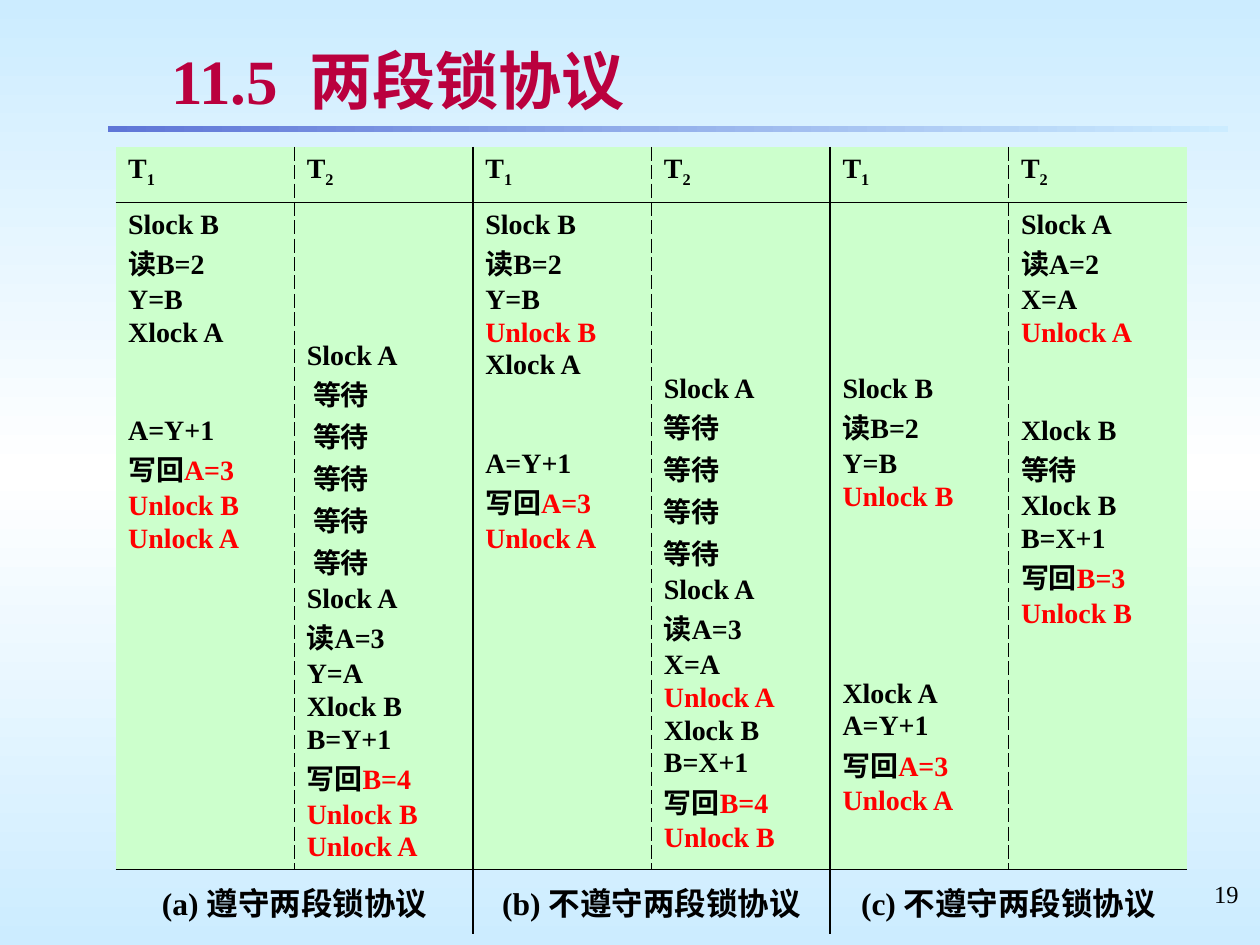
from lxml.etree import SubElement as add_element
from pptx import Presentation
from pptx.dml.color import RGBColor
from pptx.enum.shapes import MSO_SHAPE as Preset
from pptx.enum.text import MSO_ANCHOR as Anchor, PP_ALIGN as Align
from pptx.oxml.ns import qn
from pptx.util import Cm, Pt

COLORS = {
    "sky": "CCECFF", "white": "FFFFFF", "bar": "5F76D7", "title": "BA003E",
    "shadow": "C0C0C0", "text": "000000", "unlock": "FF0000", "cell": "CCFFCC",
}
FONT = "Times New Roman"
PLAIN_STYLE = "{2D5ABB26-0587-4C30-8999-92F81FD0307C}"
LINE_HEIGHT = 18.75
COLUMN_WIDTH = 3.6
ROW_HEIGHTS = [1.13, 13.43, 1.31]

# Numbers stand for waiting time, counted in lines.
SCHEDULES = [
    ["Slock B", "读B=2", "Y=B", "Xlock A", 2, "A=Y+1", "写回A=3", "Unlock B", "Unlock A"],
    [4, "Slock A", *[" 等待"] * 5, "Slock A", "读A=3", "Y=A", "Xlock B", "B=Y+1",
     "写回B=4", "Unlock B", "Unlock A"],
    ["Slock B", "读B=2", "Y=B", "Unlock B", "Xlock A", 2, "A=Y+1", "写回A=3", "Unlock A"],
    [5, "Slock A", *["等待"] * 4, "Slock A", "读A=3", "X=A", "Unlock A", "Xlock B",
     "B=X+1", "写回B=4", "Unlock B"],
    [5, "Slock B", "读B=2", "Y=B", "Unlock B", 5, "Xlock A", "A=Y+1", "写回A=3", "Unlock A"],
    ["Slock A", "读A=2", "X=A", "Unlock A", 2, "Xlock B", "等待", "Xlock B", "B=X+1",
     "写回B=3", "Unlock B"],
]
CAPTIONS = [" (a) 遵守两段锁协议 ", "(b) 不遵守两段锁协议", "(c) 不遵守两段锁协议"]


class SlideBuilder:
    def __init__(self, presentation):
        self.slide = presentation.slides.add_slide(presentation.slide_layouts[6])

    def format_run(self, run, size, color="text", bold=True):
        run.font.name = FONT
        run.font.size = Pt(size)
        run.font.bold = bold
        run.font.color.rgb = RGBColor.from_string(COLORS[color])

    def gradient(self, fill, element, stops, angle):
        fill.gradient()
        fill.gradient_angle = angle
        stop_list = element.find(".//" + qn("a:gsLst"))
        for old_stop in list(stop_list):
            stop_list.remove(old_stop)
        for index, color in enumerate(stops):
            position = 100000 * index // (len(stops) - 1)
            stop = add_element(stop_list, qn("a:gs"), pos=str(position))
            add_element(stop, qn("a:srgbClr"), val=COLORS[color])

    def background(self, stops):
        self.gradient(self.slide.background.fill, self.slide._element, stops, 90)

    def bar(self, left, top, width, height, stops):
        shape = self.slide.shapes.add_shape(
            Preset.RECTANGLE, Cm(left), Cm(top), Cm(width), Cm(height))
        shape.shadow.inherit = False
        shape.line.fill.background()
        self.gradient(shape.fill, shape._element.spPr, stops, 0)

    def text(self, text, left, top, width, height, size, color="text", bold=True,
             align=Align.LEFT, anchor=Anchor.TOP):
        shape = self.slide.shapes.add_textbox(Cm(left), Cm(top), Cm(width), Cm(height))
        frame = shape.text_frame
        frame.word_wrap = True
        frame.vertical_anchor = anchor
        frame.text = text
        paragraph = frame.paragraphs[0]
        paragraph.alignment = align
        self.format_run(paragraph.runs[0], size, color, bold)
        return paragraph.runs[0]

    def title(self, text, left, top, width, height):
        run = self.text(text, left, top, width, height, 36, "title", anchor=Anchor.MIDDLE)
        properties = run.font._element
        effects = add_element(properties, qn("a:effectLst"))
        shadow = add_element(effects, qn("a:outerShdw"), dist="35921", dir="2700000")
        add_element(shadow, qn("a:srgbClr"), val=COLORS["shadow"])
        properties.find(qn("a:solidFill")).addnext(effects)

    def table(self, left, top, columns, row_heights, column_width):
        frame = self.slide.shapes.add_table(
            len(row_heights), columns, Cm(left), Cm(top),
            Cm(column_width * columns), Cm(sum(row_heights)))
        table = frame.table
        table.first_row = table.horz_banding = False
        table._tbl.tblPr.find(qn("a:tableStyleId")).text = PLAIN_STYLE
        for column in table.columns:
            column.width = Cm(column_width)
        for row, height in zip(table.rows, row_heights):
            row.height = Cm(height)
        return table

    def border(self, cell, side, width, dash="solid"):
        properties = cell._tc.get_or_add_tcPr()
        line = add_element(properties, qn("a:ln" + side), w=str(Pt(width)))
        fill = add_element(line, qn("a:solidFill"))
        add_element(fill, qn("a:srgbClr"), val=COLORS["text"])
        add_element(line, qn("a:prstDash"), val=dash)

    def table_rules(self, table):
        last = len(table.columns)
        for row_index, row in enumerate(table.rows):
            for column, cell in enumerate(row.cells):
                edges = {"L": column, "R": column + 1}
                if row_index == 2:
                    edges = {"L": column // 2 * 2, "R": column // 2 * 2 + 2}
                for side, edge in edges.items():
                    if edge % 2:
                        self.border(cell, side, 0.45, "dash")
                    elif 0 < edge < last:
                        self.border(cell, side, 1.08)
                if row_index < 2:
                    self.border(cell, "TB"[row_index == 0], 0.45)
                    cell.fill.solid()
                    cell.fill.fore_color.rgb = RGBColor.from_string(COLORS["cell"])
                else:
                    cell.fill.background()

    def header(self, cell, number):
        paragraph = cell.text_frame.paragraphs[0]
        paragraph.text = "T"
        paragraph.space_before = Pt(3)
        subscript = paragraph.add_run()
        subscript.text = str(number)
        for run in paragraph.runs:
            self.format_run(run, 16)
        subscript.font._element.set("baseline", "-25000")

    def schedule(self, cell, steps):
        frame = cell.text_frame
        paragraph, gap = None, 0
        for step in steps:
            if isinstance(step, int):
                gap = step
                continue
            if paragraph is None:
                paragraph = frame.paragraphs[0]
                cell.margin_top = Cm(0.13) + Pt(gap * LINE_HEIGHT)
                gap = 0
            else:
                paragraph = frame.add_paragraph()
            paragraph.space_before = Pt(1 + gap * LINE_HEIGHT)
            gap = 0
            self.step(paragraph, step)

    def step(self, paragraph, step):
        write = "写回"
        if step.startswith(write):
            paragraph.text = write
            result = paragraph.add_run()
            result.text = step.removeprefix(write)
            self.format_run(result, 16, "unlock")
            self.format_run(paragraph.runs[0], 16)
        else:
            paragraph.text = step
            color = "unlock" if step.startswith("Unlock") else "text"
            self.format_run(paragraph.runs[0], 16, color)

    def caption(self, cell, text):
        cell.vertical_anchor = Anchor.MIDDLE
        paragraph = cell.text_frame.paragraphs[0]
        paragraph.text = text
        paragraph.alignment = Align.CENTER
        paragraph.space_before = Pt(3.4)
        self.format_run(paragraph.runs[0], 18)


def main():
    presentation = Presentation()
    presentation.slide_width, presentation.slide_height = Cm(25.4), Cm(19.05)
    builder = SlideBuilder(presentation)
    builder.background(["sky", "white", "sky"])
    builder.bar(2.18, 2.54, 22.58, 0.12, ["bar", "sky"])
    builder.text("19", 19.3, 17.6, 5.92, 1.32, 14, bold=False, align=Align.RIGHT)
    builder.title("11.5  两段锁协议", 3.2, 0.74, 20.93, 1.7)

    table = builder.table(2.33, 2.96, len(SCHEDULES), ROW_HEIGHTS, COLUMN_WIDTH)
    for column, steps in enumerate(SCHEDULES):
        builder.header(table.cell(0, column), column % 2 + 1)
        builder.schedule(table.cell(1, column), steps)
    for index, text in enumerate(CAPTIONS):
        table.cell(2, 2 * index).merge(table.cell(2, 2 * index + 1))
        builder.caption(table.cell(2, 2 * index), text)
    builder.table_rules(table)
    presentation.save("out.pptx")


if __name__ == "__main__":
    main()
